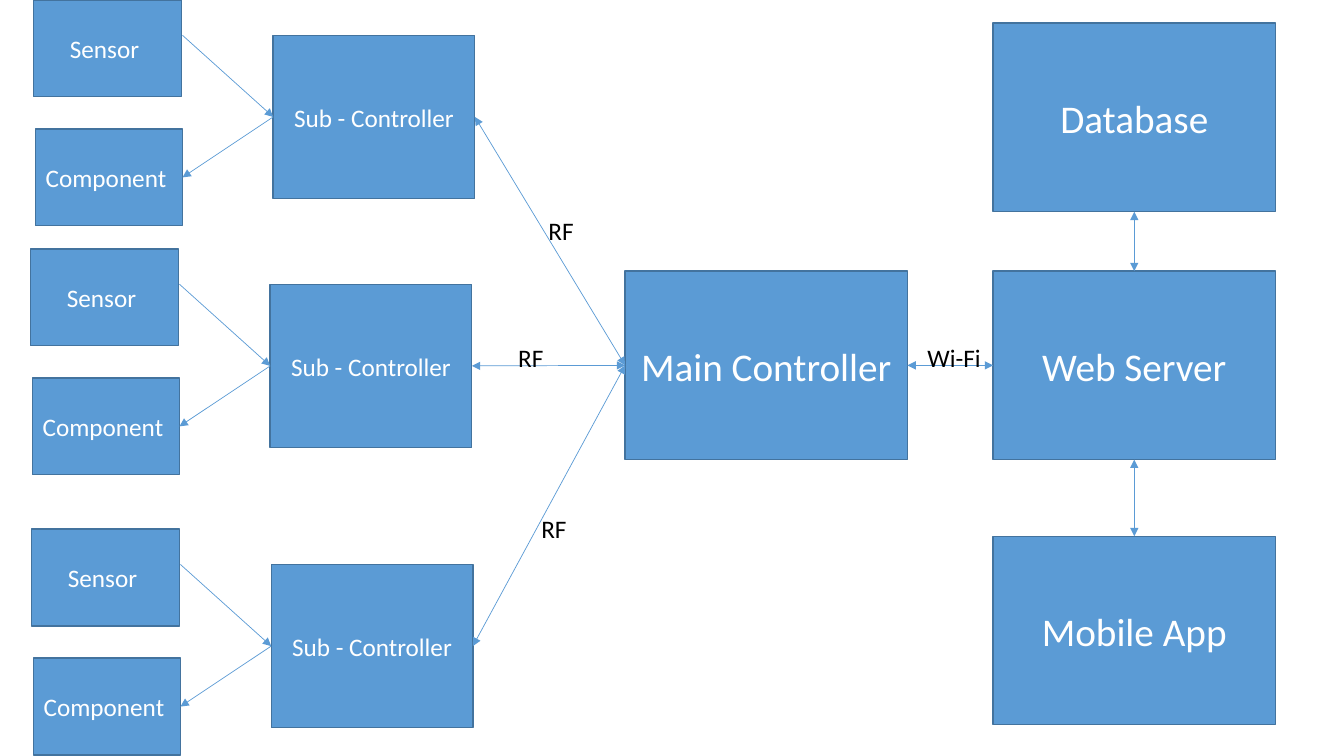
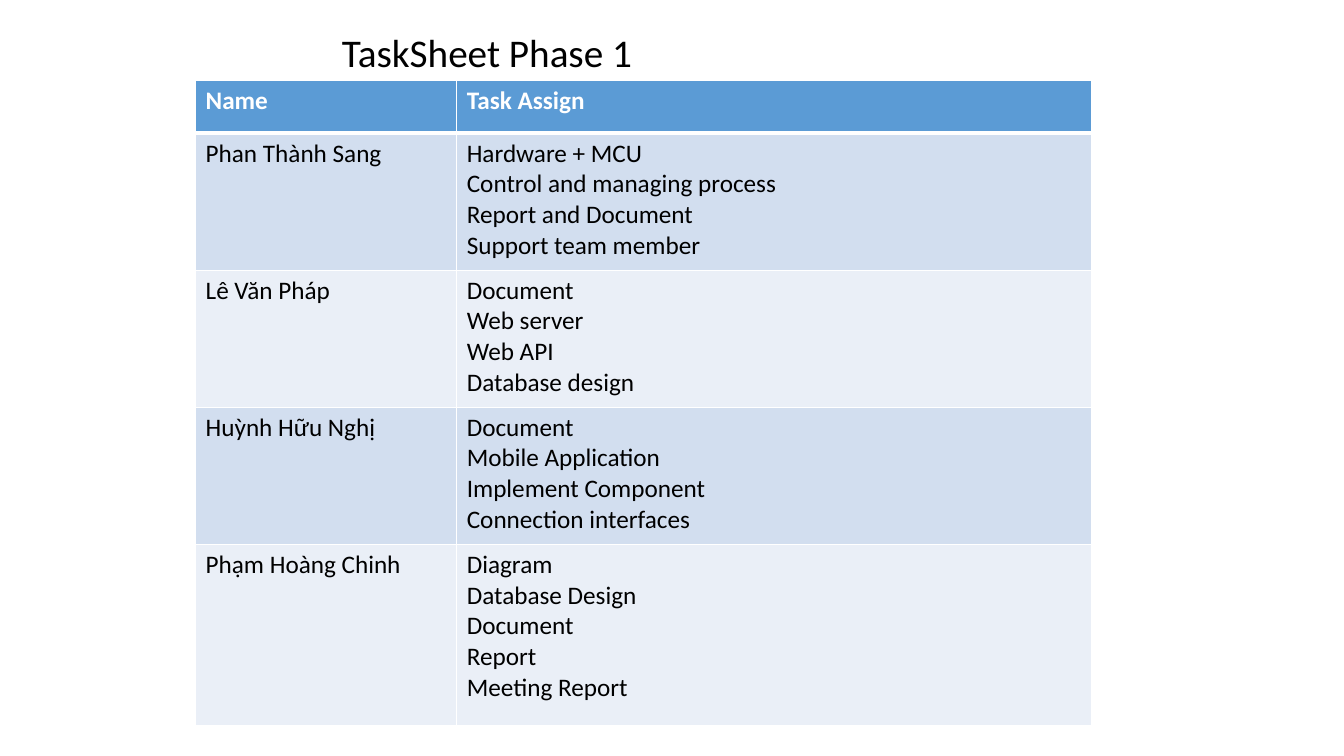
from lxml import etree
from pptx import Presentation
from pptx.dml.color import RGBColor
from pptx.enum.shapes import MSO_CONNECTOR as Connector, MSO_SHAPE as Shape
from pptx.enum.text import MSO_ANCHOR as Anchor, MSO_AUTO_SIZE as AutoSize, PP_ALIGN as Align
from pptx.oxml.ns import qn
from pptx.util import Inches, Pt

# Shared style
COLORS = {"blue": "5B9BD5", "edge": "43739E", "white": "FFFFFF", "black": "000000",
          "band_dark": "D2DEEF", "band_light": "EAEFF7"}
FONT = "Calibri"
BODY, LARGE = 18, 28
TITLE_ONLY, BLANK = 5, 6
TOP, LEFT, BOTTOM, RIGHT = range(4)  # connection sites of a rectangle

# Diagram content
SUB_SIZE, SENSOR_SIZE, COMPONENT_SIZE = (2, 1.62), (1.47, 0.96), (1.46, 0.96)
MAIN_SIZE = (2.8, 1.87)
SUB_CONTROLLERS = [(2.71, 0.35), (2.68, 2.82), (2.69, 5.6)]
SENSOR_OFFSET, COMPONENT_OFFSET = (-2.38, -0.35), (-2.36, 0.93)
SENSOR_LINK_GAP = 0.9
MAIN_CONTROLLER = ("Main Controller", 6.2, 2.69)
SERVER_LEFT = 9.85
SERVERS = [("Database", 0.23), ("Web Server", 2.69), ("Mobile App", 5.32)]
LINK_LABELS = [("RF", 5.34, 2.09, 0.45), ("RF", 5.04, 3.35, 0.45),
               ("RF", 5.27, 5.04, 0.45), ("Wi-Fi", 9.1, 3.35, 0.73)]

# Task sheet content
SHEET_TITLE = "TaskSheet Phase 1"
HEADER = ("Name", ["Task Assign"])
TASKS = [
    ("Phan Thành Sang", ["Hardware + MCU", "Control and managing process",
                         "Report and Document", "Support team member"]),
    ("Lê Văn Pháp", ["Document", "Web server", "Web API", "Database design"]),
    ("Huỳnh Hữu Nghị", ["Document", "Mobile Application",
                        "Implement Component", "Connection interfaces"]),
    ("Phạm Hoàng Chinh", ["Diagram", "Database Design", "Document",
                          "Report", "Meeting Report"]),
]
COLUMN_WIDTHS = [2.59, 6.3]
ROW_HEIGHTS = [0.52, 1.36, 1.36, 1.36, 1.8]


def rgb(name):
    return RGBColor.from_string(COLORS[name])


def write(frame, lines, size, color, align=Align.LEFT, bold=False):
    for index, line in enumerate(lines):
        para = frame.paragraphs[0] if index == 0 else frame.add_paragraph()
        para.alignment = align
        span = para.add_run()
        span.text = line
        span.font.name, span.font.size, span.font.bold = FONT, Pt(size), bold
        span.font.color.rgb = rgb(color)


def fit_to_text(frame):
    frame.word_wrap = False
    frame.auto_size = AutoSize.SHAPE_TO_FIT_TEXT
    frame.vertical_anchor = Anchor.TOP


def add_block(page, text, left, top, size, font_size):
    block = page.shapes.add_shape(Shape.RECTANGLE, *map(Inches, (left, top, *size)))
    block.shadow.inherit = False
    block.fill.solid()
    block.fill.fore_color.rgb = rgb("blue")
    block.line.color.rgb = rgb("edge")
    block.line.width = Pt(1)
    block.text_frame.word_wrap = True
    block.text_frame.vertical_anchor = Anchor.MIDDLE
    write(block.text_frame, [text], font_size, "white", Align.CENTER)
    return block


def add_arrow(page, target, site, source=None, source_site=None,
              start=(0, 0), both_ends=False):
    """Join two blocks, or a free start point and a block."""
    arrow = page.shapes.add_connector(Connector.STRAIGHT, *map(Inches, (*start, *start)))
    if source is not None:
        arrow.begin_connect(source, source_site)
    arrow.end_connect(target, site)
    arrow.line.color.rgb = rgb("blue")
    arrow.line.width = Pt(0.5)
    properties = arrow.element.spPr
    outline = properties.find(qn("a:ln"))
    for end in ["headEnd", "tailEnd"] if both_ends else ["tailEnd"]:
        etree.SubElement(outline, qn(f"a:{end}"), type="triangle")
    etree.SubElement(properties, qn("a:effectLst"))


def set_borders(cell, widths):
    properties = cell._tc.get_or_add_tcPr()
    for index, (side, width) in enumerate(widths.items()):
        border = etree.Element(qn(f"a:ln{side}"), w=str(Pt(width)))
        fill = etree.SubElement(border, qn("a:solidFill"))
        etree.SubElement(fill, qn("a:srgbClr"), val=COLORS["white"])
        properties.insert(index, border)


def build_diagram(deck):
    page = deck.slides.add_slide(deck.slide_layouts[BLANK])
    main = add_block(page, *MAIN_CONTROLLER, MAIN_SIZE, LARGE)

    # Each sub-controller with its sensor and component
    for left, top in SUB_CONTROLLERS:
        sub = add_block(page, "Sub - Controller", left, top, SUB_SIZE, BODY)
        add_block(page, "Sensor ", left + SENSOR_OFFSET[0], top + SENSOR_OFFSET[1],
                  SENSOR_SIZE, BODY)
        component = add_block(page, "Component ", left + COMPONENT_OFFSET[0],
                              top + COMPONENT_OFFSET[1], COMPONENT_SIZE, BODY)
        add_arrow(page, sub, LEFT, start=(left - SENSOR_LINK_GAP, top))
        add_arrow(page, component, RIGHT, sub, LEFT)
        add_arrow(page, main, LEFT, sub, RIGHT, both_ends=True)

    # Server column
    database, server, app = [add_block(page, text, SERVER_LEFT, top, MAIN_SIZE, LARGE)
                             for text, top in SERVERS]
    add_arrow(page, server, LEFT, main, RIGHT, both_ends=True)
    for upper, lower in [(database, server), (server, app)]:
        add_arrow(page, lower, TOP, upper, BOTTOM, both_ends=True)

    # Link labels
    for text, left, top, width in LINK_LABELS:
        box = page.shapes.add_textbox(*map(Inches, (left, top, width, 0.4)))
        fit_to_text(box.text_frame)
        write(box.text_frame, [text], BODY, "black")


def build_task_sheet(deck):
    page = deck.slides.add_slide(deck.slide_layouts[TITLE_ONLY])
    title = page.shapes.title
    title.left, title.top, title.width, title.height = map(Inches, (3.29, 0.23, 3.2, 0.57))
    fit_to_text(title.text_frame)
    write(title.text_frame, [SHEET_TITLE], LARGE, "black")

    # Table grid
    rows = [HEADER, *TASKS]
    table = page.shapes.add_table(
        len(rows), len(COLUMN_WIDTHS), Inches(1.94), Inches(0.8),
        Inches(sum(COLUMN_WIDTHS)), Inches(sum(ROW_HEIGHTS))).table
    table.first_row = table.horz_banding = False
    for column, width in zip(table.columns, COLUMN_WIDTHS):
        column.width = Inches(width)
    for row, height in zip(table.rows, ROW_HEIGHTS):
        row.height = Inches(height)

    # Table cells
    for index, (name, tasks) in enumerate(rows):
        is_header = index == 0
        band = "blue" if is_header else "band_dark" if index % 2 else "band_light"
        borders = {"L": 1, "R": 1, "T": 3 if index == 1 else 1, "B": 3 if is_header else 1}
        for cell, lines in zip(table.rows[index].cells, ([name], tasks)):
            cell.fill.solid()
            cell.fill.fore_color.rgb = rgb(band)
            set_borders(cell, borders)
            write(cell.text_frame, lines, BODY, "white" if is_header else "black",
                  bold=is_header)


def main():
    deck = Presentation()
    deck.slide_width, deck.slide_height = Inches(13.33), Inches(7.5)
    build_diagram(deck)
    build_task_sheet(deck)
    deck.save("out.pptx")


if __name__ == "__main__":
    main()
